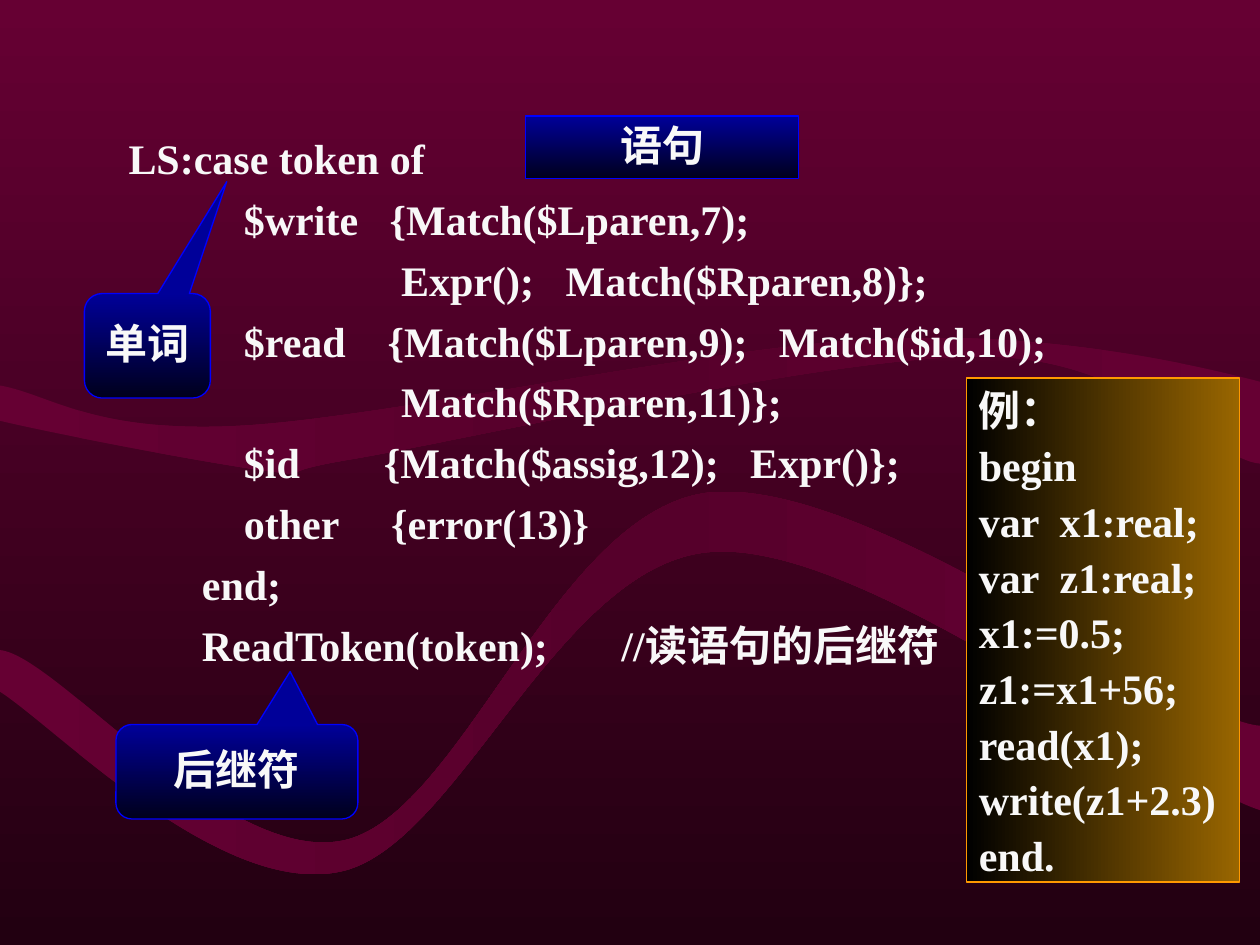
"""Build a slide showing statement parsing code with callouts and a sample program."""
from copy import deepcopy
from dataclasses import dataclass

from lxml import etree
from pptx import Presentation
from pptx.dml.color import RGBColor
from pptx.enum.shapes import MSO_SHAPE
from pptx.enum.text import MSO_ANCHOR, MSO_AUTO_SIZE, PP_ALIGN
from pptx.oxml.ns import qn
from pptx.util import Inches, Pt

RECT = MSO_SHAPE.RECTANGLE
CALLOUT = MSO_SHAPE.ROUNDED_RECTANGULAR_CALLOUT
TOP, MIDDLE = MSO_ANCHOR.TOP, MSO_ANCHOR.MIDDLE
LEFT, CENTER = PP_ALIGN.LEFT, PP_ALIGN.CENTER
NO_FIT = MSO_AUTO_SIZE.NONE

WINE = RGBColor(0x66, 0x00, 0x33)
DARK_WINE = RGBColor(0x22, 0x00, 0x11)
MID_WINE = RGBColor(0x56, 0x00, 0x2B)
NAVY = RGBColor(0x00, 0x00, 0x99)
DARK_NAVY = RGBColor(0x00, 0x00, 0x1C)
BLUE = RGBColor(0x00, 0x00, 0xFF)
BLACK = RGBColor(0x00, 0x00, 0x00)
BROWN = RGBColor(0x99, 0x66, 0x00)
ORANGE = RGBColor(0xFF, 0x99, 0x00)
WHITE = RGBColor(0xF8, 0xF8, 0xF8)
FONT = "Times New Roman"
DOWN, RIGHTWARD = 270, 0


@dataclass
class Panel:
    box: tuple
    lines: list
    kind: int = RECT
    adj: tuple = ()
    colors: tuple = (NAVY, DARK_NAVY)
    angle: int = DOWN
    border: RGBColor = BLUE
    anchor: int = MIDDLE
    align: int = CENTER
    before: float = 0
    spacing: float = 0.9


CODE = [
    "   LS:case token of",
    "              $write   {Match($Lparen,7);",
    "                             Expr();   Match($Rparen,8)};",
    "              $read    {Match($Lparen,9);   Match($id,10);",
    "                             Match($Rparen,11)};",
    "              $id        {Match($assig,12);   Expr()};",
    "              other     {error(13)}",
    "          end;",
    "          ReadToken(token);       //读语句的后继符",
]
SAMPLE = [
    "例：", "begin", "var  x1:real;", "var  z1:real;", "x1:=0.5;",
    "z1:=x1+56;", "read(x1);", "write(z1+2.3)", "end.",
]
PANELS = [
    Panel((4.17, 0.92, 2.17, 0.5), ["语句"]),
    Panel((0.67, 2.33, 1, 0.83), ["单词"], CALLOUT, (0.63, -1.57, 0.17)),
    Panel((0.92, 5.75, 1.92, 0.75), ["后继符"], CALLOUT, (0.22, -1.06, 0.17)),
    Panel((7.67, 3, 2.17, 4), SAMPLE, colors=(BLACK, BROWN), angle=RIGHTWARD,
          border=ORANGE, anchor=TOP, align=LEFT, before=3, spacing=1),
]
RIBBONS = [
    [[(0, 3.06)], [(0, 3.34)],
     [(0.37, 3.43), (1.75, 3.7), (2.22, 3.75)],
     [(2.69, 3.8), (1.9, 3.79), (2.82, 3.64)],
     [(3.75, 3.48), (6.6, 2.82), (7.8, 2.83)],
     [(9, 2.83), (9.63, 3.65), (10, 3.68)], [(10, 3.03)],
     [(9.5, 2.9), (8.36, 2.63), (7.01, 2.69)],
     [(5.66, 2.74), (3.07, 3.32), (1.9, 3.38)],
     [(0.73, 3.44), (0.4, 3.13), (0, 3.06)]],
    [[(0, 5.16)], [(0, 5.49)],
     [(0.45, 5.78), (1.74, 7.11), (2.69, 6.92)],
     [(3.63, 6.74), (4.43, 4.46), (5.65, 4.38)],
     [(6.87, 4.29), (9.27, 6.2), (10, 6.43)], [(10, 5.76)],
     [(9.38, 5.72), (6.91, 3.77), (5.62, 3.91)],
     [(4.41, 4.06), (3.67, 6.46), (2.73, 6.67)],
     [(1.79, 6.87), (0.45, 5.2), (0, 5.16)]],
]


def set_gradient(fill, colors: tuple, angle: int) -> None:
    fill.gradient()
    fill.gradient_angle = angle
    first = fill.gradient_stops[0]._gs
    for _ in colors[2:]:
        first.addnext(deepcopy(first))
    for i, (stop, color) in enumerate(zip(fill.gradient_stops, colors)):
        stop.position = i / (len(colors) - 1)
        stop.color.rgb = color


def add_ribbon(s, segments: list) -> None:
    ends = [tuple(map(Inches, seg[-1])) for seg in segments]
    builder = s.shapes.build_freeform(*ends[0])
    builder.add_line_segments(ends[1:], close=True)
    sp = builder.convert_to_shape()
    for seg, node in zip(segments[1:], list(sp._element.iter(qn("a:lnTo")))):
        if len(seg) == 3:
            node.tag = qn("a:cubicBezTo")
            for i, (x, y) in enumerate(seg[:2]):
                pt = etree.Element(qn("a:pt"), x=str(Inches(x) - sp.left),
                                   y=str(Inches(y) - sp.top))
                node.insert(i, pt)
    sp.shadow.inherit = False
    sp.line.fill.background()
    set_gradient(sp.fill, (WINE, MID_WINE, WINE), RIGHTWARD)


def write(tf, lines: list, *, size=24, color=WHITE, align=LEFT,
          anchor=TOP, before=0, spacing=1) -> None:
    tf.word_wrap = True
    tf.auto_size = NO_FIT
    tf.vertical_anchor = anchor
    for i, line in enumerate(lines):
        p = tf.paragraphs[0] if i == 0 else tf.add_paragraph()
        pPr = p._p.get_or_add_pPr()
        pPr.set("marL", "0")
        pPr.set("indent", "0")
        etree.SubElement(pPr, qn("a:buNone"))
        p.alignment = align
        p.line_spacing = spacing
        p.space_before = Pt(before if i else 0)
        r = p.add_run()
        r.text = line
        r.font.name, r.font.size, r.font.bold = FONT, Pt(size), True
        r.font.color.rgb = color


def add_panel(s, panel: Panel) -> None:
    sp = s.shapes.add_shape(panel.kind, *map(Inches, panel.box))
    for i, value in enumerate(panel.adj):
        sp.adjustments[i] = value
    sp.shadow.inherit = False
    set_gradient(sp.fill, panel.colors, panel.angle)
    sp.line.color.rgb = panel.border
    sp.line.width = Pt(0.75)
    write(sp.text_frame, panel.lines, align=panel.align, anchor=panel.anchor,
          before=panel.before, spacing=panel.spacing)


def main() -> None:
    prs = Presentation()
    prs.slide_width, prs.slide_height = Inches(10), Inches(7.5)
    s = prs.slides.add_slide(prs.slide_layouts[1])
    set_gradient(s.background.fill, (WINE, DARK_WINE), DOWN)
    title, body = s.placeholders
    title._element.getparent().remove(title._element)
    for segments in RIBBONS:
        add_ribbon(s, segments)
    s.shapes._spTree.append(body._element)
    body.left, body.top, body.width, body.height = map(Inches, (0.67, 1, 8, 5.25))
    write(body.text_frame, CODE, before=6)
    for panel in PANELS:
        add_panel(s, panel)
    prs.save("out.pptx")


if __name__ == "__main__":
    main()
